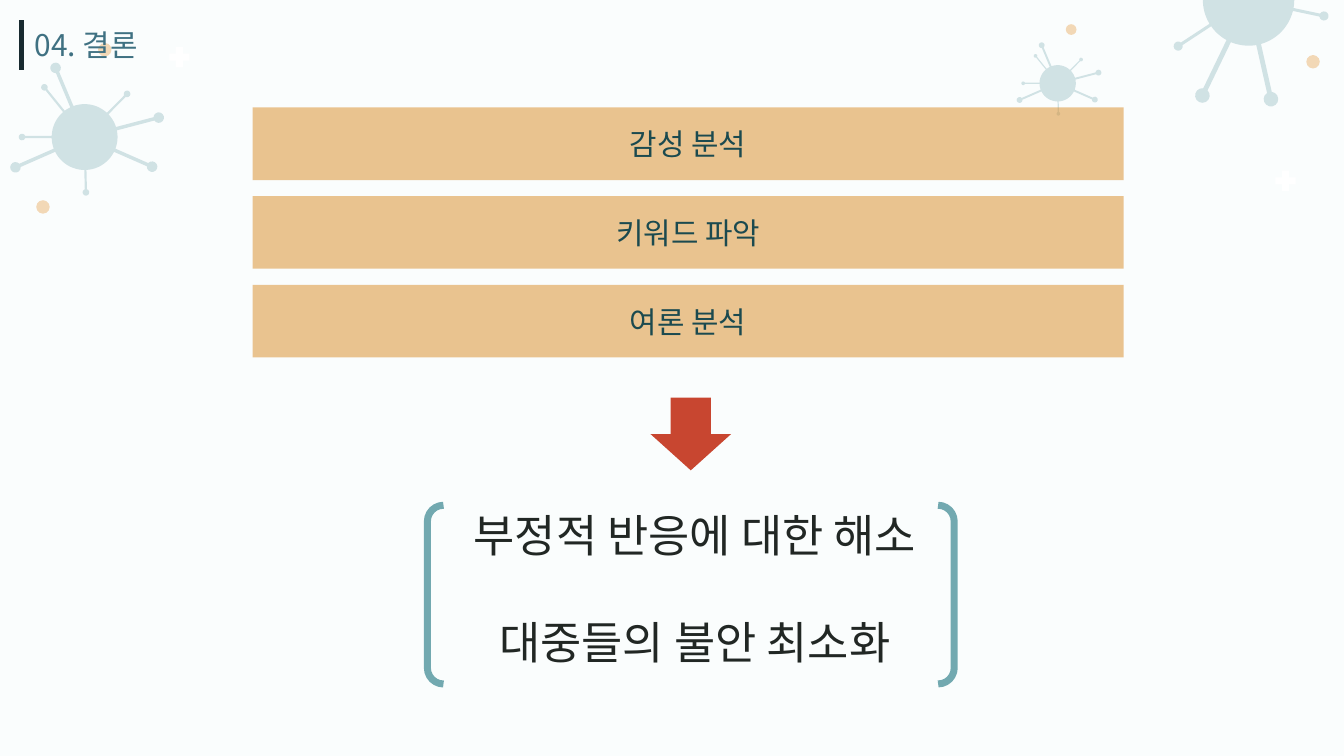
import math

import lxml.etree
import pptx
import pptx.dml.color
import pptx.enum.shapes
import pptx.enum.text
import pptx.oxml.ns
import pptx.util

Inches = pptx.util.Inches
Pt = pptx.util.Pt
RGBColor = pptx.dml.color.RGBColor
SHAPES = pptx.enum.shapes.MSO_SHAPE
qn = pptx.oxml.ns.qn

TITLE = "04. 결론"
STEPS = ["감성 분석", "키워드 파악", "여론 분석"]
CONCLUSIONS = ["부정적 반응에 대한 해소", "대중들의 불안 최소화"]

FONT = "Noto Sans CJK KR"
BACKGROUND = RGBColor(0xF2, 0xF9, 0xFA)
WHITE = RGBColor(0xFF, 0xFF, 0xFF)
TEAL = RGBColor(0x72, 0xA9, 0xB0)
ORANGE = RGBColor(0xD9, 0x8A, 0x23)
RED = RGBColor(0xC8, 0x46, 0x30)
NAVY = RGBColor(0x18, 0x2A, 0x30)
TITLE_COLOR = RGBColor(0x3F, 0x71, 0x82)
STEP_COLOR = RGBColor(0x1B, 0x4A, 0x4F)
CONCLUSION_COLOR = RGBColor(0x21, 0x27, 0x24)

WIDTH = 10
HEIGHT = WIDTH * 9 / 16
STEP_LEFT, STEP_TOP, STEP_WIDTH, STEP_HEIGHT, STEP_PITCH = 1.88, 0.8, 6.48, 0.54, 0.66

# Spikes are (x, y, tip radius) in units of the body radius.
ROUND_SPIKES = [(-0.88, -2.1, 0.16), (-1.22, -1.51, 0.1), (-1.9, 0, 0.1), (-2.1, 0.92, 0.16),
                (0.04, 1.68, 0.1), (2.05, 0.9, 0.16), (2.25, -0.59, 0.16), (1.29, -1.31, 0.1)]
HALF_SPIKES = [(1.65, 0.35, 0.1), (0.49, 2.17, 0.16), (-1.01, 2.09, 0.16), (-1.54, 1.01, 0.1)]
VIRUSES = [
    (9.29, 0, 0.34, HALF_SPIKES, math.pi),
    (7.87, 0.62, 0.135, ROUND_SPIKES, 2 * math.pi),
    (0.63, 1.02, 0.245, ROUND_SPIKES, 2 * math.pi),
]
DOTS = [(0.27, 1.49, 0.1), (0.73, 0.32, 0.1), (9.72, 0.41, 0.1), (7.93, 0.18, 0.08)]
SPARKLES = [(1.26, 0.35), (9.49, 1.27)]


def paint(shape, color, opacity=100):
    shape.shadow.inherit = False
    shape.line.fill.background()
    shape.fill.solid()
    shape.fill.fore_color.rgb = color
    if opacity < 100:
        color_element = shape.fill._xPr.find(".//" + qn("a:srgbClr"))
        lxml.etree.SubElement(color_element, qn("a:alpha"), val=str(opacity * 1000))


def add_filled(slide, kind, box, color, opacity=100):
    shape = slide.shapes.add_shape(kind, *map(Inches, box))
    paint(shape, color, opacity)
    return shape


def write(text_frame, lines, size, color, alignment=None):
    text_frame.word_wrap = True
    text_frame.text = "\n".join(lines)
    for paragraph in text_frame.paragraphs:
        paragraph.alignment = alignment
        for run in paragraph.runs:
            run.font.name = FONT
            run.font.size = Pt(size)
            run.font.color.rgb = color
            lxml.etree.SubElement(run.font._element, qn("a:ea"), typeface=FONT)


def arc(x, y, radius, start, end, steps=12):
    angles = [start + (end - start) * step / steps for step in range(steps + 1)]
    return [(x + radius * math.cos(angle), y + radius * math.sin(angle)) for angle in angles]


def virus_outline(spikes, sweep):
    points, position = [], 0
    spikes = sorted((math.atan2(y, x) % (2 * math.pi), x, y, tip) for x, y, tip in spikes)
    for angle, x, y, tip in spikes:
        half_stem = 0.33 * tip
        spread, notch = math.asin(half_stem), math.asin(half_stem / tip)
        points += arc(0, 0, 1, position, angle - spread)
        points += arc(x, y, tip, angle + math.pi + notch, angle + 3 * math.pi - notch)
        position = angle + spread
    return points + arc(0, 0, 1, position, sweep)


def add_virus(slide, x, y, radius, spikes, sweep):
    points = [(Inches(x + radius * px), Inches(y + radius * py))
              for px, py in virus_outline(spikes, sweep)]
    builder = slide.shapes.build_freeform(*points[0])
    builder.add_line_segments(points[1:], close=True)
    paint(builder.convert_to_shape(), TEAL)


def add_backdrop(slide):
    slide.background.fill.solid()
    slide.background.fill.fore_color.rgb = BACKGROUND
    for virus in VIRUSES:
        add_virus(slide, *virus)
    for left, top, size in DOTS:
        add_filled(slide, SHAPES.OVAL, (left, top, size, size), ORANGE)
    for left, top in SPARKLES:
        sparkle = add_filled(slide, SHAPES.CROSS, (left, top, 0.15, 0.15), WHITE)
        sparkle.adjustments[0] = 0.33
    add_filled(slide, SHAPES.RECTANGLE, (0, 0, WIDTH, HEIGHT), WHITE, 67)


def add_title(slide):
    box = slide.shapes.add_textbox(*map(Inches, (0.16, 0.15, 4.62, 0.37)))
    write(box.text_frame, [TITLE], 16, TITLE_COLOR)
    box.text_frame.paragraphs[0].line_spacing = Pt(19)
    bar = slide.shapes.add_connector(pptx.enum.shapes.MSO_CONNECTOR.STRAIGHT,
                                     *map(Inches, (0.16, 0.15, 0.16, 0.52)))
    bar.line.color.rgb = NAVY
    bar.line.width = Pt(2.5)
    lxml.etree.SubElement(bar._element.spPr, qn("a:effectLst"))


def add_steps(slide):
    for index, step in enumerate(STEPS):
        box = (STEP_LEFT, STEP_TOP + index * STEP_PITCH, STEP_WIDTH, STEP_HEIGHT)
        shape = add_filled(slide, SHAPES.RECTANGLE, box, ORANGE, 50)
        shape.text_frame.vertical_anchor = pptx.enum.text.MSO_ANCHOR.MIDDLE
        write(shape.text_frame, [step], 16, STEP_COLOR, pptx.enum.text.PP_ALIGN.CENTER)
    add_filled(slide, SHAPES.DOWN_ARROW, (4.84, 2.96, 0.6, 0.54), RED)


def add_conclusions(slide):
    box = slide.shapes.add_textbox(*map(Inches, (1.54, 3.73, 7.26, 1.29)))
    write(box.text_frame, CONCLUSIONS, 24, CONCLUSION_COLOR, pptx.enum.text.PP_ALIGN.CENTER)
    for paragraph in box.text_frame.paragraphs:
        paragraph.line_spacing = Pt(28.7)
    for paragraph in box.text_frame.paragraphs[1:]:
        paragraph.space_before = Pt(28.7)
    bracket = slide.shapes.add_shape(SHAPES.DOUBLE_BRACKET, *map(Inches, (3.18, 3.76, 3.92, 1.33)))
    bracket.adjustments[0] = 0.09
    bracket.shadow.inherit = False
    bracket.fill.background()
    bracket.line.color.rgb = TEAL
    bracket.line.width = Pt(3.75)


def main():
    presentation = pptx.Presentation()
    presentation.slide_width = Inches(WIDTH)
    presentation.slide_height = Inches(HEIGHT)
    slide = presentation.slides.add_slide(presentation.slide_layouts[6])
    add_backdrop(slide)
    add_title(slide)
    add_steps(slide)
    add_conclusions(slide)
    presentation.save("out.pptx")


if __name__ == "__main__":
    main()
